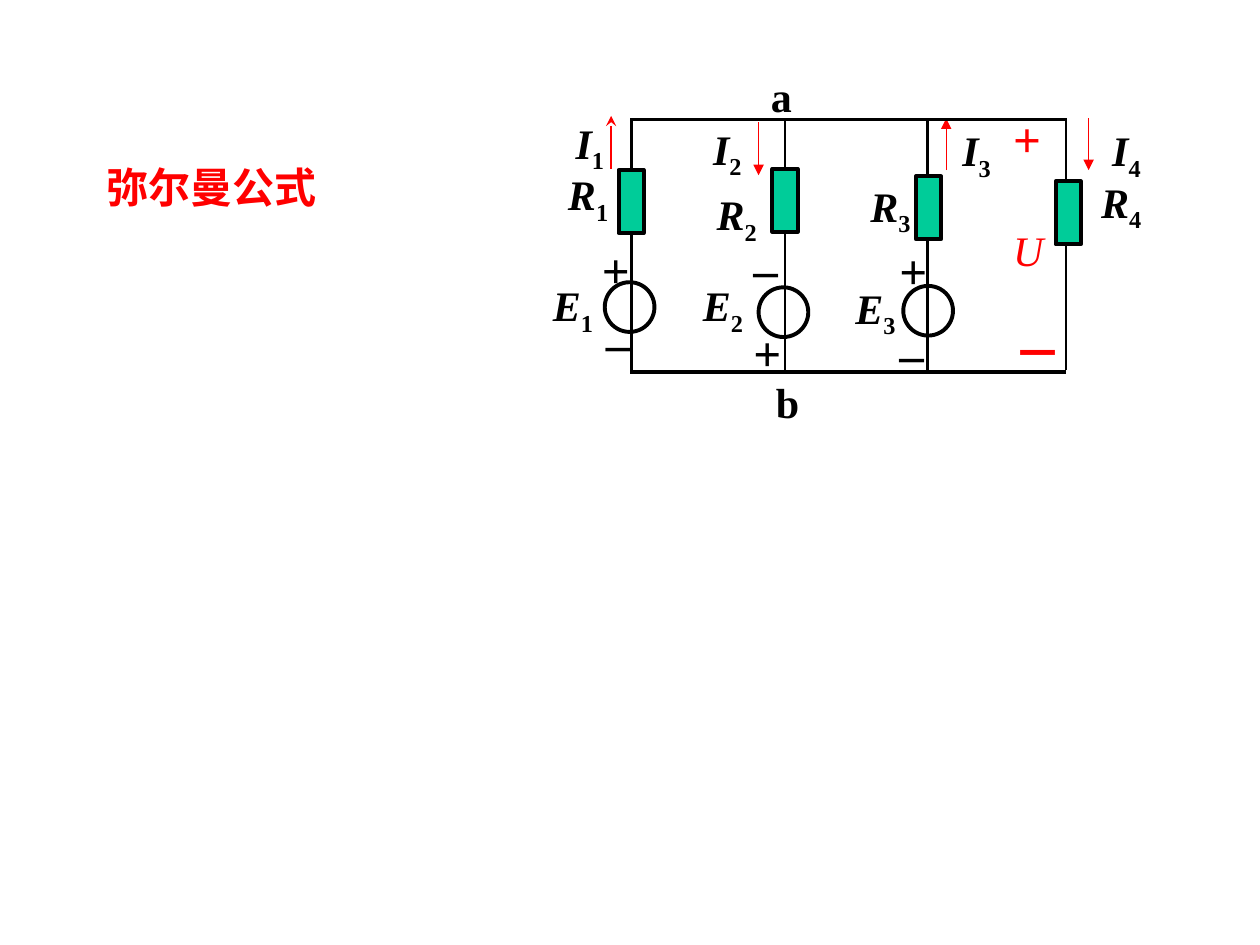
from lxml import etree
from pptx import Presentation
from pptx.dml.color import RGBColor
from pptx.enum.shapes import MSO_CONNECTOR, MSO_SHAPE
from pptx.oxml.ns import qn
from pptx.util import Pt

LINE = MSO_CONNECTOR.STRAIGHT
RECT = MSO_SHAPE.RECTANGLE
OVAL = MSO_SHAPE.OVAL
BLACK, RED, GREEN = "000000", "FF0000", "00CC99"
BOLD = {"name": "Times New Roman", "size": Pt(24), "bold": True}
SIGN = {**BOLD, "size": Pt(28)}
SLANT = {**BOLD, "italic": True}
THIN = {**SLANT, "bold": False}
HIGH, RAIL = 144, 249

BRANCHES = [
    {"x": 0.7, "I": (-38.9, -5, 35), "R": (-43.2, 24.5, 47), "rect": (-7.2, 28.8),
     "arrow": (-11.5, 28.1, -2.2, "stealth"), "E": (-51.8, 87.8, 52),
     "oval": (-15.1, 92.9), "+": (-23.8, 64.8), "–": (-21.6, 106.6)},
    {"x": 88.6, "I": (-48.2, -1.4, 35), "R": (-46.1, 36, 47), "rect": (-7.2, 28.1),
     "arrow": (-15.1, 1.4, 31.7, "triangle"), "E": (-54, 87.8, 63),
     "oval": (-15.1, 95.8), "+": (-25.2, 112.3), "–": (-25.2, 64.1)},
    {"x": 169.9, "I": (13, -0.7, 47), "R": (-39.6, 31, 50), "rect": (-6.5, 32.4),
     "arrow": (10.8, 28.8, -0.7, "triangle"), "E": (-48.2, 89.3, 63),
     "oval": (-13.7, 95), "+": (-23, 65.5), "–": (-23, 113)},
    {"x": 249.1, "I": (19.4, -0.7, 47), "R": (13, 28.8, 47), "rect": (-5.8, 35.3),
     "arrow": (13, -0.7, 28.8, "triangle")},
]


def paint(text):
    return RGBColor.from_string(text)


def style(font, form, color):
    for key, value in form.items():
        setattr(font, key, value)
    font.color.rgb = paint(color)


def write(para, text, form, color=BLACK):
    run = para.add_run()
    run.text = text
    style(run.font, form, color)
    return run


def frame(slide, x, y, wide, high, wrap=True):
    box = slide.shapes.add_textbox(Pt(x), Pt(y), Pt(wide), Pt(high)).text_frame
    box.word_wrap = wrap
    return box


def label(slide, x, y, wide, high, text, form, color=BLACK, sub="", wrap=True):
    para = frame(slide, x, y, wide, high, wrap).paragraphs[0]
    write(para, text, form, color)
    if sub:
        run = write(para, sub, BOLD, color)
        run.font._element.set("baseline", "-25000")


def wire(slide, x1, y1, x2, y2, width=1.5, color=BLACK, head=None):
    line = slide.shapes.add_connector(LINE, Pt(x1), Pt(y1), Pt(x2), Pt(y2))
    line.line.color.rgb = paint(color)
    line.line.width = Pt(width)
    if head:
        etree.SubElement(line.line._get_or_add_ln(), qn("a:tailEnd"), type=head)
    etree.SubElement(line._element.spPr, qn("a:effectLst"))


def part(slide, kind, x, y, wide, high, fill=None):
    shape = slide.shapes.add_shape(kind, Pt(x), Pt(y), Pt(wide), Pt(high))
    shape.shadow.inherit = False
    if fill:
        shape.fill.solid()
        shape.fill.fore_color.rgb = paint(fill)
    else:
        shape.fill.background()
    shape.line.color.rgb = paint(BLACK)
    shape.line.width = Pt(2.25)


def branch(slide, x, y, sub, plan):
    wire(slide, x, y - 0.7, x, y + HIGH - 0.7)
    dx, dy = plan["rect"]
    part(slide, RECT, x + dx, y + dy, 14.4, 36, GREEN)
    if "oval" in plan:
        dx, dy = plan["oval"]
        part(slide, OVAL, x + dx, y + dy, 28.4, 28.4)
    dx, start, end, head = plan["arrow"]
    wire(slide, x + dx, y + start, x + dx, y + end, 0.75, RED, head)
    for name in "IRE":
        if name in plan:
            dx, dy, wide = plan[name]
            label(slide, x + dx, y + dy, wide, 40.3, name, SLANT, sub=sub)
    for name in "+–":
        if name in plan:
            dx, dy = plan[name]
            label(slide, x + dx, y + dy, 28, 41, name, SIGN)


def volts(slide, x, y, wide, high):
    box = frame(slide, x, y, wide, high)
    for side in ("left", "top", "right", "bottom"):
        setattr(box, f"margin_{side}", 0)
    rows = [("+", SIGN, 0), ("U", THIN, 33), ("－", SIGN, 27)]
    for i, (text, form, gap) in enumerate(rows):
        para = box.add_paragraph() if i else box.paragraphs[0]
        para.space_before = Pt(gap)
        write(para, text, form, RED)


def circuit(slide, x, y):
    for i, plan in enumerate(BRANCHES, 1):
        branch(slide, x + plan["x"], y, str(i), plan)
    wire(slide, x, y, x + RAIL, y)
    wire(slide, x, y + HIGH, x + RAIL, y + HIGH, 2.25)
    label(slide, x + 73.4, y - 31.7, 26, 36, "a", BOLD, wrap=False)
    label(slide, x + 76.3, y + 143.3, 27.4, 36, "b", BOLD, wrap=False)
    volts(slide, x + 218.9, y - 6.5, 38.2, 153.4)


def main():
    deck = Presentation()
    deck.slide_width, deck.slide_height = Pt(720), Pt(540)
    slide = deck.slides.add_slide(deck.slide_layouts[6])
    label(slide, 54, 88.6, 175.7, 36, "弥尔曼公式", BOLD, RED)
    circuit(slide, 360, 68.4)
    deck.save("out.pptx")


if __name__ == "__main__":
    main()
